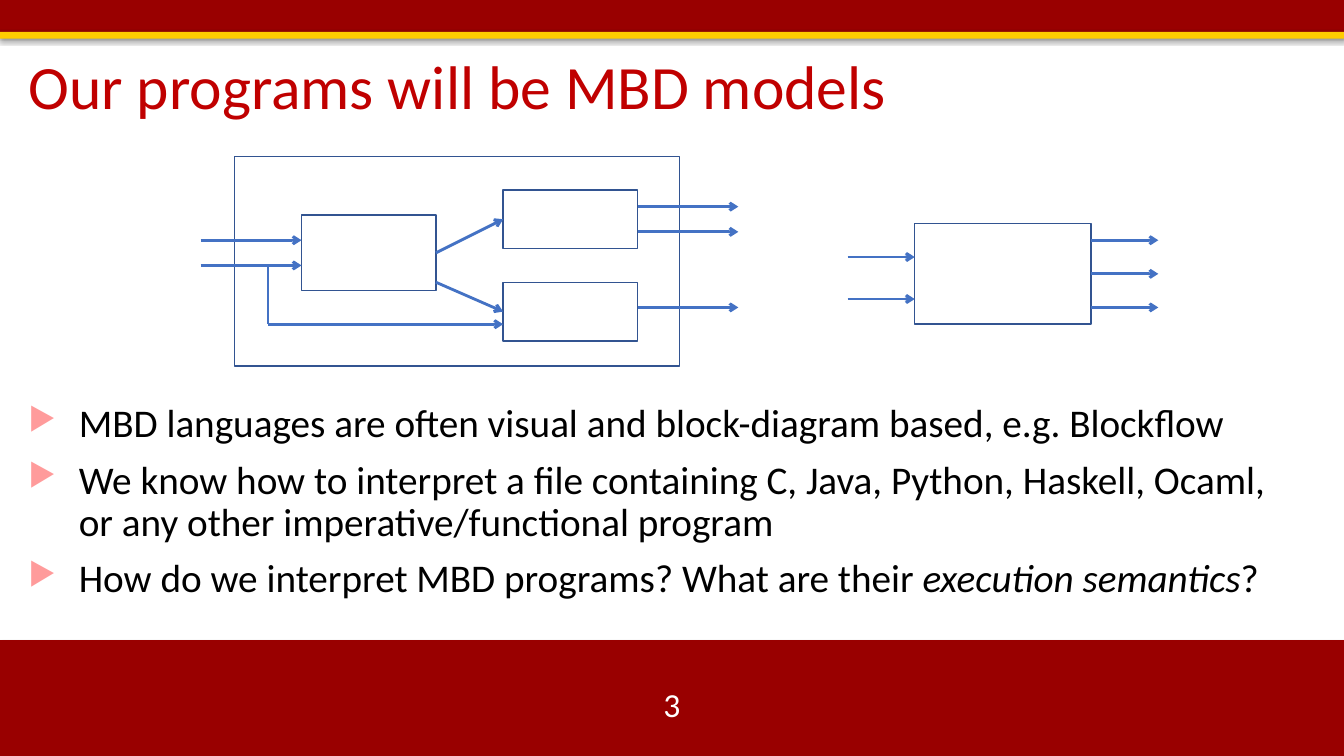
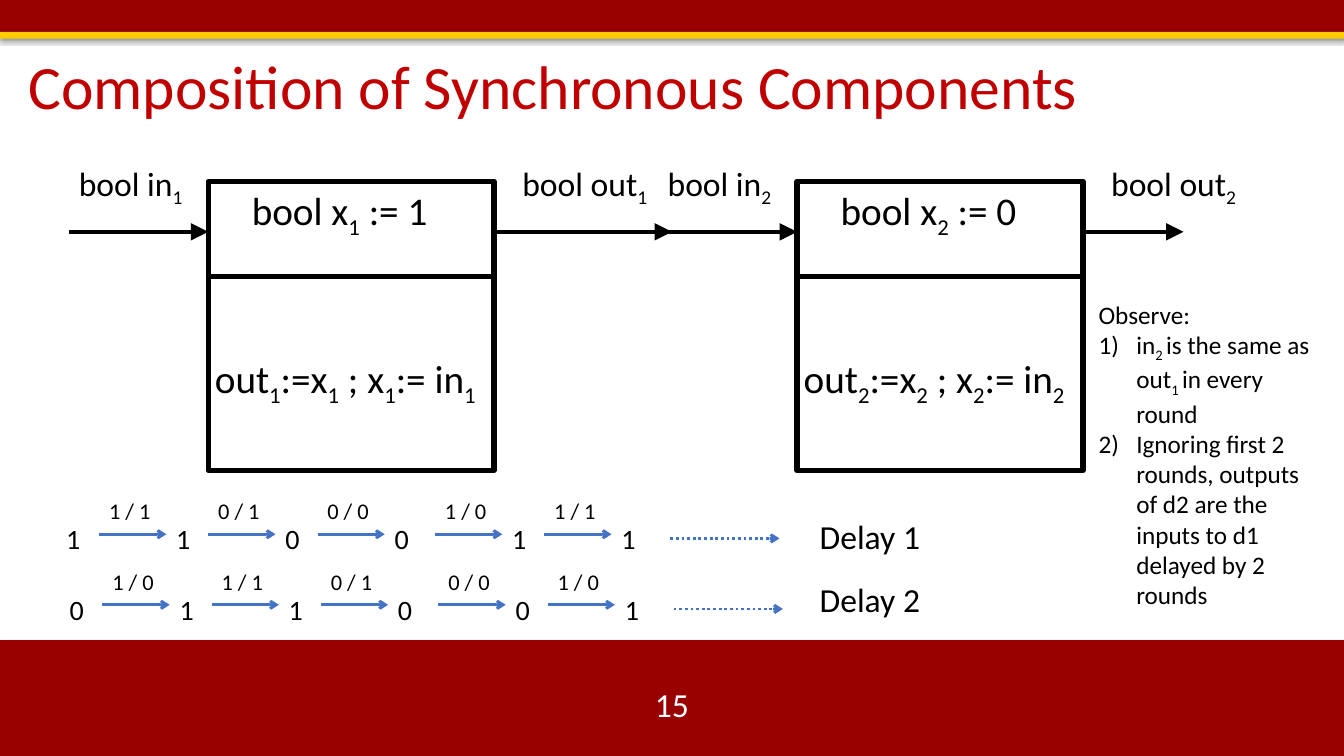
"""Build two lecture slides on model-based design and synchronous components."""
from dataclasses import dataclass
from typing import Any, NamedTuple, Optional

from lxml import etree
from pptx import Presentation
from pptx.dml.color import RGBColor
from pptx.enum.dml import MSO_LINE
from pptx.enum.shapes import MSO_CONNECTOR, MSO_SHAPE
from pptx.enum.text import MSO_ANCHOR, MSO_AUTO_SIZE, PP_ALIGN
from pptx.oxml.ns import qn
from pptx.util import Inches, Pt

RECTANGLE = MSO_SHAPE.RECTANGLE
STRAIGHT = MSO_CONNECTOR.STRAIGHT
DOTTED = MSO_LINE.ROUND_DOT
TOP, MIDDLE = MSO_ANCHOR.TOP, MSO_ANCHOR.MIDDLE
LEFT, CENTER = PP_ALIGN.LEFT, PP_ALIGN.CENTER
GROW, FIXED = MSO_AUTO_SIZE.SHAPE_TO_FIT_TEXT, MSO_AUTO_SIZE.NONE
LEFT_SIDE, RIGHT_SIDE = 1, 3

COLUMNS, ROWS, CELLS_PER_INCH = 160, 90, 12
CARDINAL, GOLD = "990000", "FFCC00"
TITLE_RED, BLACK, WHITE = "C00000", "000000", "FFFFFF"
WIRE_BLUE, BLOCK_BLUE, BULLET_PINK = "4472C4", "325491", "FF9B9B"
SANS = "Calibri"
SUBSCRIPT, ITALIC = "subscript", "italic"


class Box(NamedTuple):
    """A rectangle in grid cells."""
    col: float
    row: float
    cols: float
    rows: float

    def shifted(self, cols: float, rows: float) -> "Box":
        """Return the same rectangle moved by some cells."""
        return self._replace(col=self.col + cols, row=self.row + rows)


class Wire(NamedTuple):
    """A line in grid cells, with the blocks whose sides it joins at the middle."""
    start: tuple[float, float]
    end: tuple[float, float]
    source: Optional[str] = None
    target: Optional[str] = None
    arrow: Optional[str] = "arrow"


class Look(NamedTuple):
    """The type style of a text."""
    size: float
    color: str = BLACK
    accent: str = SUBSCRIPT


@dataclass(frozen=True)
class Component:
    """A synchronous component with one input, one state and one output."""
    index: int
    left: float
    initial: int
    output_length: float


@dataclass(frozen=True)
class Trace:
    """An execution of a delay component."""
    name: str
    left: float
    top: float
    name_top: float
    states: str
    rounds: tuple[str, ...]


FOOTER = Box(0, 76.2, COLUMNS, 13.8)
CIRCUIT_COL, CIRCUIT_ROW = 23.9, 18.6
BLOCKS = {
    "source": Box(12, 7, 16, 9),
    "upper": Box(36, 4, 16, 7),
    "lower": Box(36, 15, 16, 7),
    "whole": Box(85, 8, 21, 12),
    "frame": Box(4, 0, 53, 25),
}
WIRES = (
    Wire((28, 11.5), (36, 7.5), "source", "upper"),
    Wire((28, 15), (36, 18.5), None, "lower"),
    *(Wire((52, row), (64, row)) for row in (6, 9, 18)),
    *(Wire((0, row), (12, row)) for row in (10, 13)),
    Wire((8, 13), (8, 20), arrow=None),
    Wire((8, 20), (36, 20)),
    *(Wire((77, row), (85, row)) for row in (12, 17)),
    Wire((106, 10), (114, 10)),
    Wire((106, 14), (114, 14), "whole"),
    Wire((106, 18), (114, 18)),
)
POINTS = (
    "MBD languages are often visual and block-diagram based, e.g. Blockflow",
    "We know how to interpret a file containing C, Java, Python, Haskell, Ocaml, "
    "or any other imperative/functional program",
    "How do we interpret MBD programs? What are their |execution semantics|?",
)
COMPONENTS = (Component(1, 24.8, 1, 21.2), Component(2, 94.9, 0, 12))
TRACES = (
    Trace("Delay 1", 11.8, 58.6, 60.8, "110011", ("1 / 1", "0 / 1", "0 / 0", "1 / 0", "1 / 1")),
    Trace("Delay 2", 12.2, 67, 68.3, "011001", ("1 / 0", "1 / 1", "0 / 1", "0 / 0", "1 / 0")),
)
OBSERVATIONS = (
    "in|2 |is the same as out|1 |in every round",
    "Ignoring first 2 rounds, outputs of d2 are the inputs to d1 delayed by 2 rounds",
)


def cells(count: float) -> int:
    """Return the length of some grid cells."""
    return Inches(count / CELLS_PER_INCH)


def rgb(color: str) -> RGBColor:
    """Turn a hex string into a colour."""
    return RGBColor.from_string(color)


def child(parent: Any, tag: str, **attributes: str) -> Any:
    """Append an XML element with attributes."""
    return etree.SubElement(parent, qn(tag), attributes)


def add_band(slide: Any, box: Box, color: str, distance: int, opacity: int) -> None:
    """Draw a filled band with a soft shadow below."""
    band = slide.shapes.add_shape(RECTANGLE, *map(cells, box))
    band.fill.solid()
    band.fill.fore_color.rgb = rgb(color)
    band.line.fill.background()
    effects = child(band._element.spPr, "a:effectLst")
    shadow = child(effects, "a:outerShdw", blurRad="40000", dist=str(distance),
                   dir="5400000", rotWithShape="0")
    child(child(shadow, "a:srgbClr", val=BLACK), "a:alpha", val=str(opacity * 1000))


def add_block(slide: Any, box: Box, color: str, width: float) -> Any:
    """Draw an unfilled rectangle."""
    block = slide.shapes.add_shape(RECTANGLE, *map(cells, box))
    block.shadow.inherit = False
    block.fill.background()
    block.line.color.rgb = rgb(color)
    block.line.width = Pt(width)
    return block


def add_line(slide: Any, start: tuple[float, float], end: tuple[float, float],
             color: str = WIRE_BLUE, width: float = 2, arrow: Optional[str] = "arrow",
             head_size: str = "med", dash: Any = None) -> Any:
    """Draw a straight line, with an arrowhead at its end unless arrow is None."""
    line = slide.shapes.add_connector(STRAIGHT, *map(cells, (*start, *end)))
    line.line.color.rgb = rgb(color)
    line.line.width = Pt(width)
    if dash is not None:
        line.line.dash_style = dash
    if arrow:
        child(line.line._get_or_add_ln(), "a:tailEnd", type=arrow, w=head_size, len=head_size)
    child(line._element.spPr, "a:effectLst")
    return line


def write(paragraph: Any, marked: str, look: Look) -> None:
    """Write a text whose parts between bars carry the accent."""
    for position, part in enumerate(marked.split("|")):
        if not part:
            continue
        run = paragraph.add_run()
        run.text = part
        run.font.size = Pt(look.size)
        run.font.name = SANS
        run.font.color.rgb = rgb(look.color)
        if position % 2 == 0:
            continue
        if look.accent == SUBSCRIPT:
            run._r.get_or_add_rPr().set("baseline", "-25000")
        else:
            run.font.italic = True


def add_text(slide: Any, box: Box, marked: str, look: Look, wrap: bool = False,
             fit: Any = GROW, anchor: Any = TOP, align: Any = LEFT) -> Any:
    """Add a text box with its first paragraph and return its frame."""
    frame = slide.shapes.add_textbox(*map(cells, box)).text_frame
    frame.word_wrap = wrap
    frame.auto_size = fit
    frame.vertical_anchor = anchor
    frame.paragraphs[0].alignment = align
    write(frame.paragraphs[0], marked, look)
    return frame


def hang(paragraph: Any, indent: float) -> Any:
    """Give a paragraph a hanging indent and return its properties."""
    properties = paragraph._p.get_or_add_pPr()
    properties.set("marL", str(cells(indent)))
    properties.set("indent", str(-cells(indent)))
    return properties


def add_slide(deck: Any, title: str, number: int) -> Any:
    """Add a slide with the shared bands, title and number."""
    slide = deck.slides.add_slide(deck.slide_layouts[6])
    add_band(slide, FOOTER, CARDINAL, 23000, 35)
    add_band(slide, Box(0, 0, COLUMNS, 4), CARDINAL, 23000, 35)
    add_band(slide, Box(0, 3.8, COLUMNS, 0.8), GOLD, 20000, 38)
    heading = add_text(slide, Box(2.2, 5.6, 143.3, 10.2), title, Look(44, TITLE_RED),
                       wrap=True, fit=FIXED, anchor=MIDDLE)
    heading.paragraphs[0].line_spacing = 0.9
    add_text(slide, Box(62, 81.4, 36, 4.8), str(number), Look(24, WHITE),
             wrap=True, fit=FIXED, anchor=MIDDLE, align=CENTER)
    return slide


def add_points(slide: Any) -> None:
    """Add the bulleted points below the circuit."""
    look = Look(28, accent=ITALIC)
    frame = add_text(slide, Box(2.2, 47.5, 153.5, 27.1), "", look, wrap=True, fit=FIXED)
    for position, point in enumerate(POINTS):
        paragraph = frame.add_paragraph() if position else frame.paragraphs[0]
        properties = hang(paragraph, 6)
        child(child(properties, "a:buClr"), "a:srgbClr", val=BULLET_PINK)
        child(properties, "a:buSzPct", val="80000")
        child(properties, "a:buChar", char="▶")
        paragraph.line_spacing = 0.9
        if position:
            paragraph.space_before = Pt(10)
        write(paragraph, point, look)


def add_circuit(slide: Any) -> None:
    """Draw the block diagram and its wires."""
    blocks = {name: add_block(slide, box.shifted(CIRCUIT_COL, CIRCUIT_ROW), BLOCK_BLUE, 1)
              for name, box in BLOCKS.items()}
    for wire in WIRES:
        start, end = ((col + CIRCUIT_COL, row + CIRCUIT_ROW)
                      for col, row in (wire.start, wire.end))
        line = add_line(slide, start, end, arrow=wire.arrow)
        if wire.source:
            line.begin_connect(blocks[wire.source], RIGHT_SIDE)
        if wire.target:
            line.end_connect(blocks[wire.target], LEFT_SIDE)


def add_component(slide: Any, component: Component) -> None:
    """Draw a component with its state, update rule and ports."""
    left, index = component.left, component.index
    right, port = left + 34, 27.6
    add_block(slide, Box(left, 21.6, 34, 34.4), BLACK, 4)
    add_line(slide, (left, 32.9), (right, 32.9), BLACK, 4, None)
    for start, end in ((left - 16.6, left), (right, right + component.output_length)):
        add_line(slide, (start, port), (end, port), BLACK, 2.5, "triangle", "lg")
    for box, marked, size in (
        (Box(-16.6, 18.8, 15, 6), f"bool in|{index}|", 24),
        (Box(36.2, 18.8, 17.6, 6), f"bool out|{index}|", 24),
        (Box(4, 21.6, 23.8, 6.8), f"bool x|{index}| := {component.initial}", 28),
        (Box(-0.4, 41.6, 34.7, 6.8),
         f"out|{index}|:=x|{index}| ; x|{index}|:= in|{index}|", 28),
    ):
        add_text(slide, box.shifted(left, 0), marked, Look(size))


def add_trace(slide: Any, trace: Trace) -> None:
    """Draw the states of a trace and the rounds between them."""
    state_box = Box(0, trace.top + 2.9, 4.1, 5.3)
    arrow_row, dotted_row = trace.top + 5, trace.top + 5.5
    add_text(slide, state_box.shifted(trace.left - 5.1, 0), trace.states[0], Look(20))
    for step, (label, state) in enumerate(zip(trace.rounds, trace.states[1:])):
        col = trace.left + 13 * step + (1 if step >= 3 else 0)
        add_text(slide, Box(col, trace.top, 7.4, 4.4), label, Look(16))
        add_line(slide, (col, arrow_row), (col + 8, arrow_row))
        add_text(slide, state_box.shifted(col + 8, 0), state, Look(20))
    dots = trace.left + 68
    add_line(slide, (dots, dotted_row), (dots + 13, dotted_row), dash=DOTTED)
    add_text(slide, Box(96.4, trace.name_top, 14.5, 6), trace.name, Look(24))


def add_observations(slide: Any) -> None:
    """Add the numbered remarks beside the components."""
    frame = add_text(slide, Box(129.6, 35, 28.8, 37.6), "Observe:", Look(18), wrap=True)
    for observation in OBSERVATIONS:
        paragraph = frame.add_paragraph()
        child(hang(paragraph, 4.5), "a:buAutoNum", type="arabicParenR")
        write(paragraph, observation, Look(18))


def main() -> None:
    """Build and save the deck."""
    deck = Presentation()
    deck.slide_width, deck.slide_height = cells(COLUMNS), cells(ROWS)
    models = add_slide(deck, "Our programs will be MBD models", 3)
    add_points(models)
    add_circuit(models)
    composition = add_slide(deck, "Composition of Synchronous Components", 15)
    for component in COMPONENTS:
        add_component(composition, component)
    for trace in TRACES:
        add_trace(composition, trace)
    add_observations(composition)
    deck.save("out.pptx")


if __name__ == "__main__":
    main()
